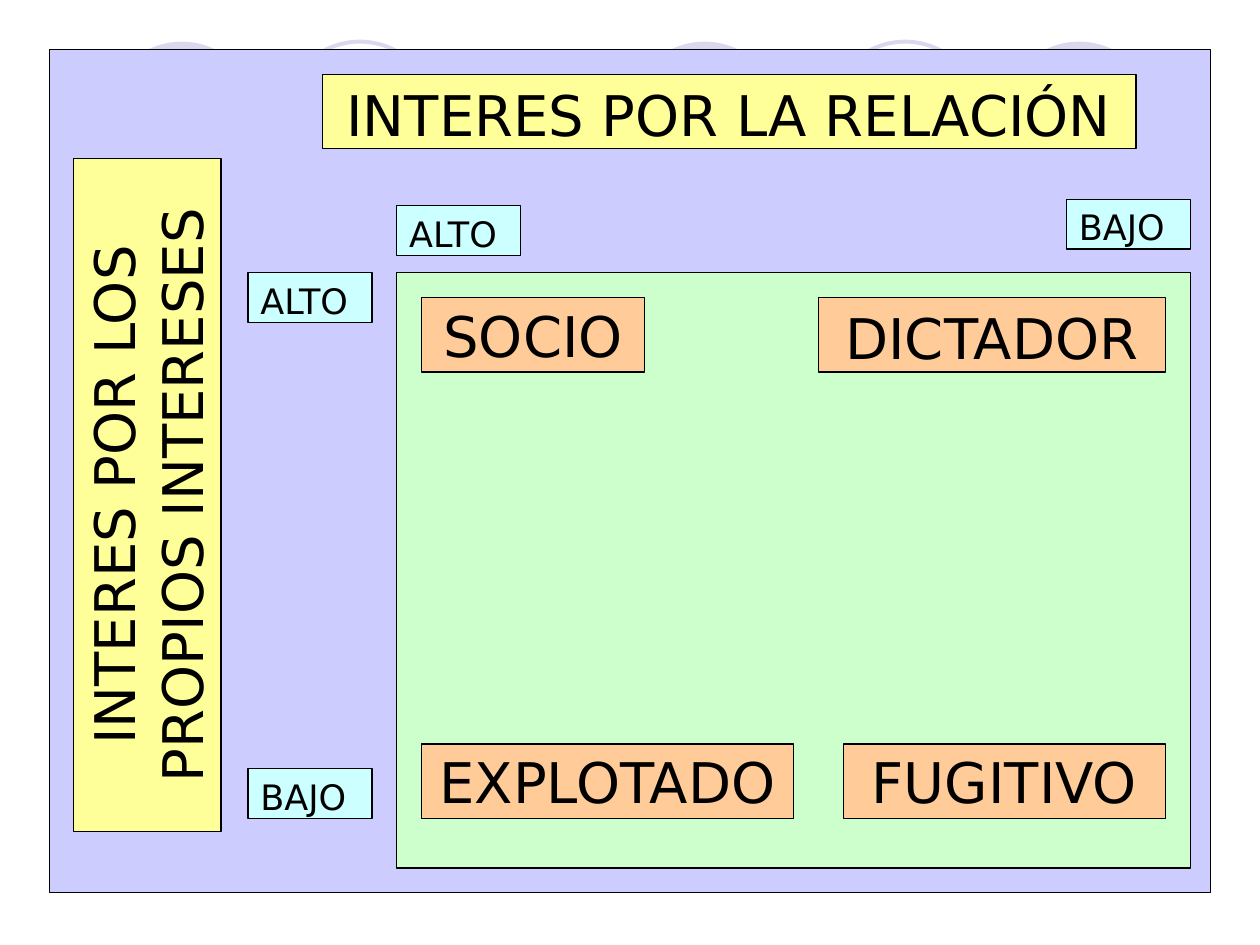
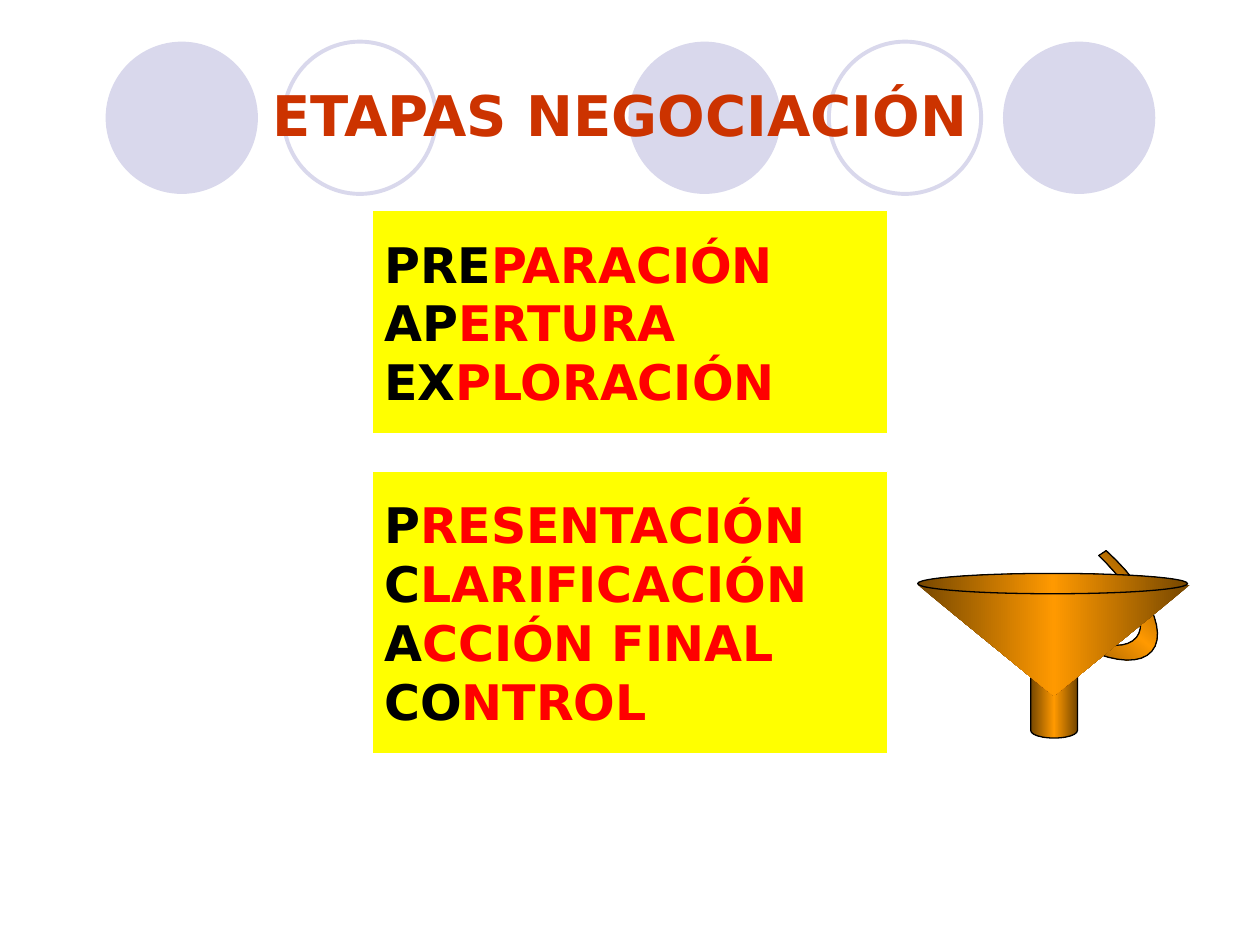
from copy import deepcopy

from pptx import Presentation
from pptx.dml.color import RGBColor
from pptx.enum.shapes import MSO_SHAPE as Shape
from pptx.enum.text import MSO_ANCHOR as Anchor, PP_ALIGN as Align
from pptx.oxml.ns import qn
from pptx.util import Cm, Pt

LILAC, PALE_LILAC, YELLOW, BRIGHT = "CCCCFF", "D9D8EC", "FFFF99", "FFFF00"
AQUA, GREEN, PEACH = "CCFFFF", "CCFFCC", "FFCC99"
BLACK, WHITE, RED, RUST = "000000", "FFFFFF", "FF0000", "CC3300"
BRONZE = [(0, "764700"), (0.5, "FF9900"), (1, "764700")]
BIG = {"size": Pt(32), "name": "DejaVu Sans"}
SMALL = {"size": Pt(20), "name": "DejaVu Sans"}
STAGE = {"size": Pt(28), "name": "DejaVu Sans", "bold": True}
TITLE = {**BIG, "bold": True}


def color(hex_text):
    """Turn a hex string into a colour."""
    return RGBColor.from_string(hex_text)


def paint(shape, fill=None, line=None, width=0.75):
    """Give a shape a plain fill and outline, or none."""
    shape.shadow.inherit = False
    for part, value in ((shape.fill, fill), (shape.line.fill, line)):
        if value:
            part.solid()
            part.fore_color.rgb = color(value)
        else:
            part.background()
    if line:
        shape.line.width = Pt(width)
    return shape


def paint_bronze(shape, line=BLACK, angle=0):
    """Give a shape the bronze gradient of the funnel."""
    paint(shape, line=line)
    shape.fill.gradient()
    stop_list = shape._element.spPr.find(qn("a:gradFill")).find(qn("a:gsLst"))
    stop_list.append(deepcopy(stop_list[0]))
    for stop, (position, hex_text) in zip(shape.fill.gradient_stops, BRONZE):
        stop.position = position
        stop.color.rgb = color(hex_text)
    shape.fill.gradient_angle = angle


def add_preset(page, kind, *box):
    """Add a preset shape at left, top, width, height in centimetres."""
    return page.shapes.add_shape(kind, *map(Cm, box))


def write(shape, lines, style, align=Align.LEFT, anchor=Anchor.TOP):
    """Write lines, each a list of (text, colour) spans."""
    frame = shape.text_frame
    frame.word_wrap = True
    frame.vertical_anchor = anchor
    for index, spans in enumerate(lines):
        para = frame.paragraphs[0] if index == 0 else frame.add_paragraph()
        para.alignment = align
        for text, hex_text in spans:
            span = para.add_run()
            span.text = text
            for name, value in style.items():
                setattr(span.font, name, value)
            span.font.color.rgb = color(hex_text)


def add_label(page, box, texts, fill, style=BIG, **layout):
    """Add an outlined box with black text."""
    label = paint(add_preset(page, Shape.RECTANGLE, *box), fill, BLACK)
    write(label, [[(text, BLACK)] for text in texts], style, **layout)
    return label


def add_circle_band(page, layout):
    """Draw the header circles and move them to the shared layout."""
    size, top = 3.07, 0.84
    discs, rings = (12.67, 20.22, 2.13), (16.71, 5.72)
    circles = [paint(add_preset(page, Shape.OVAL, left, top, size, size), PALE_LILAC)
               for left in discs]
    circles += [paint(add_preset(page, Shape.OVAL, left, top, size, size),
                      line=PALE_LILAC, width=2.25) for left in rings]
    for circle in circles:
        layout.shapes._spTree.append(circle._element)


def add_axes(page, left, top):
    """Add the two axis titles and their scale labels around the grid corner."""
    add_label(page, (left - 1.5, top - 4, 16.4, 1.5), ["INTERES POR LA RELACIÓN"],
              YELLOW, align=Align.CENTER)
    length, depth = 13.56, 2.97
    center_x, center_y = left - 5.03, top + 4.48
    side = add_label(page, (center_x - length / 2, center_y - depth / 2, length, depth),
                     ["INTERES POR LOS", "PROPIOS INTERESES"], YELLOW, align=Align.CENTER)
    side.rotation = 270
    for text, across, down in (("ALTO", -3, 0), ("BAJO", -3, 10),
                               ("BAJO", 13.5, -1.48), ("ALTO", 0, -1.35)):
        add_label(page, (left + across, top + down, 2.5, 1), [text], AQUA, SMALL)


def add_quadrants(page, left, top, width, height):
    """Add the grid with one role in each corner."""
    paint(add_preset(page, Shape.RECTANGLE, left, top, width, height), GREEN, BLACK)
    gap, role_height = 0.5, 1.5
    rows = ((top + gap, ("SOCIO", 4.5, Anchor.MIDDLE), ("DICTADOR", 7, Anchor.TOP)),
            (top + height - 2.5, ("EXPLOTADO", 7.5, Anchor.MIDDLE),
             ("FUGITIVO", 6.5, Anchor.MIDDLE)))
    for role_top, *roles in rows:
        for column, (text, role_width, anchor) in enumerate(roles):
            role_left = left + width - gap - role_width if column else left + gap
            add_label(page, (role_left, role_top, role_width, role_height), [text],
                      PEACH, align=Align.CENTER, anchor=anchor)


def add_stages(page, box, stages):
    """Add a yellow box of stages whose first letters are black."""
    panel = paint(add_preset(page, Shape.RECTANGLE, *box), BRIGHT, WHITE)
    lines = [[(start, BLACK), (rest, RED)] for start, rest in stages]
    write(panel, lines, STAGE, anchor=Anchor.MIDDLE)


def curve(start, first, second, end, steps=12):
    """Return points along a cubic curve, without its start."""
    return [tuple((1 - t) ** 3 * a + 3 * (1 - t) ** 2 * t * b
                  + 3 * (1 - t) * t ** 2 * c + t ** 3 * d
                  for a, b, c, d in zip(start, first, second, end))
            for t in (step / steps for step in range(1, steps + 1))]


def add_funnel(page, left, top):
    """Add the funnel: handle, spout, cone and rim."""
    inner = [(3.65, 0.1), (4.33, 0.74), (4.66, 1.45), (4.41, 1.75),
             (4.13, 2.08), (3.37, 1.88), (2.63, 1.3)]
    outer = [(2.56, 1.47), (3.45, 2.16), (4.39, 2.41), (4.72, 2.03),
             (5.05, 1.65), (4.64, 0.76), (3.8, 0)]
    points = []
    for edge in (inner, outer):
        points += [edge[0], *curve(*edge[:4]), *curve(*edge[3:])]
    points = [(Cm(left + x), Cm(top + y)) for x, y in points]
    builder = page.shapes.build_freeform(*points[0])
    builder.add_line_segments(points[1:], close=True)
    paint_bronze(builder.convert_to_shape(), angle=50)
    spout = add_preset(page, Shape.CAN, left + 2.28, top + 2.26, 0.94, 1.52)
    spout.adjustments[0] = 0.32
    cone = add_preset(page, Shape.FLOWCHART_MERGE, left, top + 0.69, 5.49, 2.24)
    rim = add_preset(page, Shape.OVAL, left, top + 0.46, 5.44, 0.41)
    for part, line in ((spout, BLACK), (cone, None), (rim, BLACK)):
        paint_bronze(part, line)


def build_matrix(page):
    """Fill the slide of the interest matrix."""
    paint(add_preset(page, Shape.RECTANGLE, 1, 1, 23.4, 17), LILAC, BLACK)
    add_axes(page, 8, 5.5)
    add_quadrants(page, 8, 5.5, 16, 12)


def build_stages(page):
    """Fill the slide of the negotiation stages."""
    add_funnel(page, 18.5, 11.1)
    add_stages(page, (7.5, 4.25, 10.4, 4.5),
               [("PRE", "PARACIÓN"), ("AP", "ERTURA"), ("EX", "PLORACIÓN")])
    add_stages(page, (7.5, 9.5, 10.4, 5.7),
               [("P", "RESENTACIÓN"), ("C", "LARIFICACIÓN"),
                ("A", "CCIÓN FINAL"), ("CO", "NTROL")])
    title = page.shapes.add_textbox(*map(Cm, (1.8, 1.55, 21.4, 1.5)))
    write(title, [[("ETAPAS NEGOCIACIÓN", RUST)]], TITLE, Align.CENTER, Anchor.MIDDLE)


def main():
    """Build and save the deck."""
    deck = Presentation()
    deck.slide_width, deck.slide_height = Cm(25.4), Cm(19.05)
    blank = deck.slide_layouts[6]
    matrix, stages = (deck.slides.add_slide(blank) for _ in range(2))
    add_circle_band(matrix, blank)
    build_matrix(matrix)
    build_stages(stages)
    deck.save("out.pptx")


if __name__ == "__main__":
    main()
